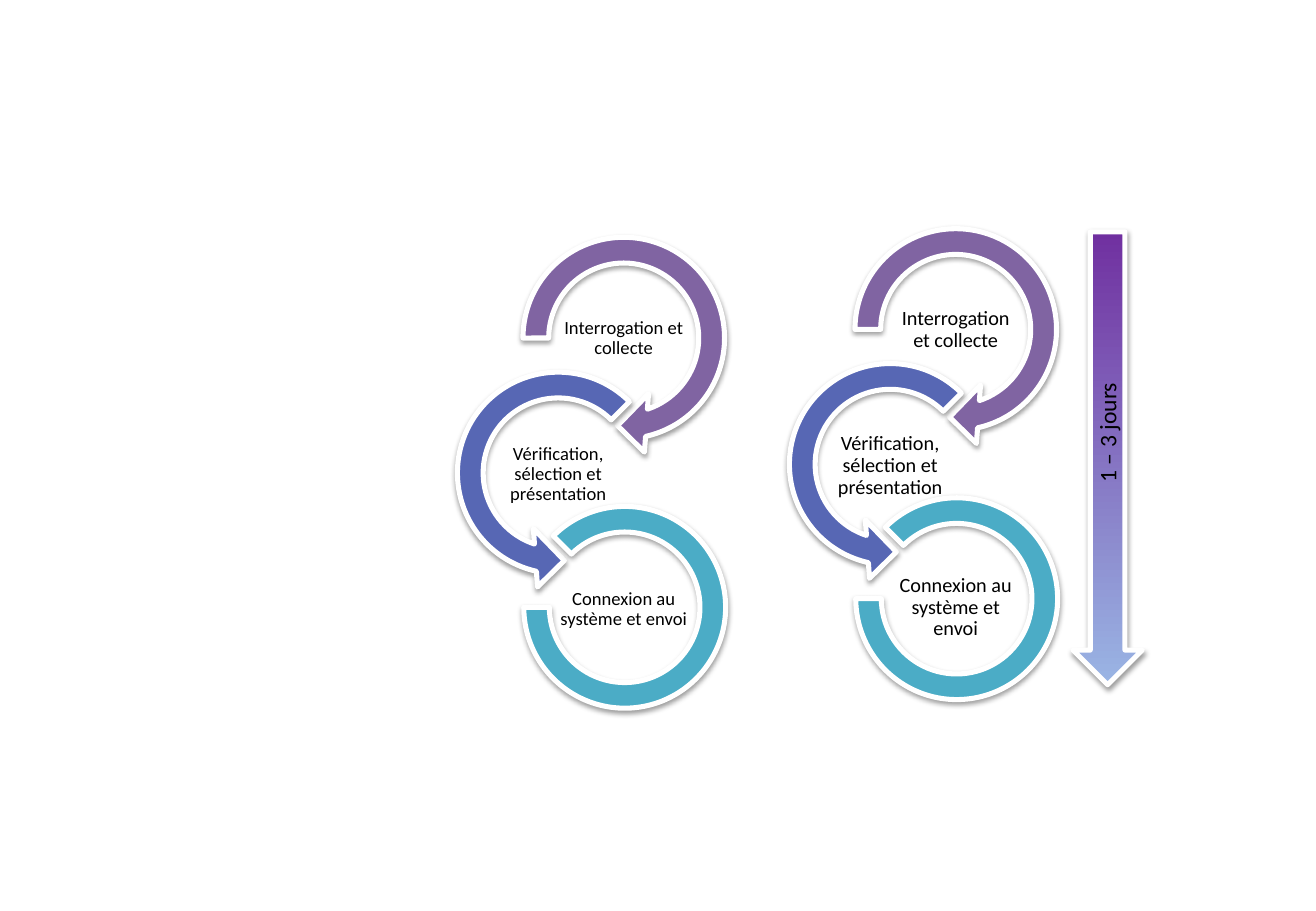
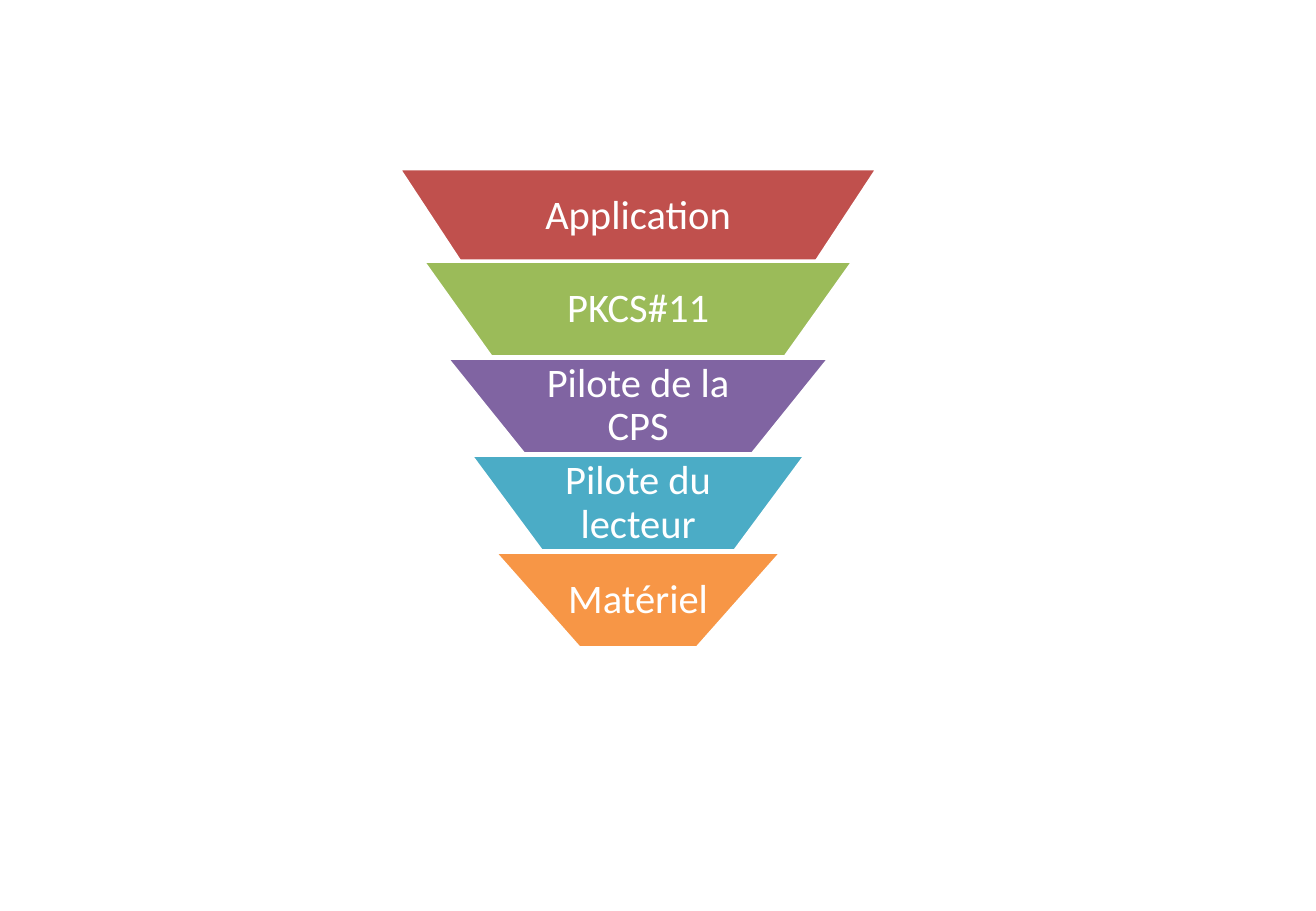
from lxml.etree import SubElement as Sub
from pptx import Presentation
from pptx.dml.color import RGBColor as Rgb
from pptx.enum.shapes import MSO_SHAPE as Kind
from pptx.enum.text import MSO_ANCHOR as Anchor, PP_ALIGN as Align
from pptx.oxml.ns import qn
from pptx.util import Cm, Pt

HUES = {
    "purple": "8064A2", "indigo": "5767B4", "teal": "4BACC6",
    "red": "C0504D", "green": "9BBB59", "orange": "F79646",
    "start": "7030A0", "end": "9AB5E4", "white": "FFFFFF", "black": "000000",
}
FRAME = {"word_wrap": True, "vertical_anchor": Anchor.MIDDLE}
PARA = {"alignment": Align.CENTER, "line_spacing": 0.9}

# Steps: kind, adjustments, colour, (x, y, size) and label (x, y) from the cycle's corner
STEPS = [
    ("Interrogation et collecte", Kind.CIRCULAR_ARROW,
     (0.11, 11.42, 45, 108, 0.125), "purple", (0, 0, 4.9), (1.09, 1.78)),
    ("Vérification, sélection et présentation", Kind.LEFT_CIRCULAR_ARROW,
     (0.11, 11.42, 63, 189, 0.125), "indigo", (-1.37, 2.82, 4.9), (-0.28, 4.62)),
    ("Connexion au système et envoi", Kind.BLOCK_ARC,
     (135, 108, 0.127), "teal", (0.36, 5.97, 4.22), (1.09, 7.44)),
]
LABEL = (2.72, 1.37)

# Layers: text, colour, top, bottom width, side margin
LAYERS = [
    ("Application", "red", 3.53, 7.37, 2.1),
    ("PKCS#11", "green", 5.46, 6.15, 1.75),
    ("Pilote de la CPS", "purple", 7.49, 4.78, 1.42),
    ("Pilote du lecteur", "teal", 9.52, 4.04, 1.35),
    ("Matériel", "orange", 11.55, 2.46, 1),
]
MID, WIDE, HIGH = 13.34, 10, 2


def hue(name):
    return Rgb.from_string(HUES[name])


def put(item, values):
    for key, value in values.items():
        setattr(item, key, value)


def write(shape, text, size, color, side=0.03, edge=0.03):
    frame = shape.text_frame
    put(frame, FRAME | {
        "margin_left": Cm(side), "margin_right": Cm(side),
        "margin_top": Cm(edge), "margin_bottom": Cm(edge)})
    para = frame.paragraphs[0]
    para.text = text
    put(para, PARA)
    put(para.font, {"name": "Calibri", "size": Pt(size)})
    para.font.color.rgb = hue(color)


def paint(shape, color, width):
    shape.shadow.inherit = False
    shape.fill.solid()
    shape.fill.fore_color.rgb = hue(color)
    shape.line.color.rgb = hue("white")
    shape.line.width = Pt(width)


def shade(shape):
    effects = shape._element.spPr.find(qn("a:effectLst"))
    outer = Sub(effects, qn("a:outerShdw"), blurRad=str(Pt(3.1)),
                dist=str(Pt(1.6)), dir="5400000", rotWithShape="0")
    black = Sub(outer, qn("a:srgbClr"), val=HUES["black"])
    Sub(black, qn("a:alpha"), val="38000")


def arrow(shapes, kind, box, color, adjust=()):
    shape = shapes.add_shape(kind, *map(Cm, box))
    for i, value in enumerate(adjust):
        shape.adjustments[i] = value
    paint(shape, color, 3)
    shade(shape)
    return shape


def label(shapes, text, x, y, size, high=LABEL[1]):
    box = shapes.add_textbox(Cm(x), Cm(y), Cm(LABEL[0]), Cm(high))
    write(box, text, size, "black")
    return box


def cycle(slide, left, top, size, last):
    """Draw the three linked steps; last is the height of the last label."""
    shapes = slide.shapes.add_group_shape().shapes
    for text, kind, adjust, color, (x, y, side), (tx, ty) in STEPS:
        arrow(shapes, kind, (left + x, top + y, side, side), color, adjust)
        high = last if text == STEPS[-1][0] else LABEL[1]
        label(shapes, text, left + tx, top + ty, size, high)
    return shapes


def span(shapes):
    """Draw the time arrow with its upright label."""
    shape = arrow(shapes, Kind.DOWN_ARROW, (22.43, 4.85, 1.45, 9.47), "start")
    shape.fill.gradient()
    shape.fill.gradient_angle = 270
    for stop, (at, name) in zip(shape.fill.gradient_stops,
                                ((0, "start"), (1, "end"))):
        stop.position = at
        stop.color.rgb = hue(name)
    label(shapes, "1 – 3 jours", 21.82, 8.36, 14).rotation = 270


def layer(slide, i, text, color, top, base, side):
    half, low = (WIDE - i) / 2, base / 2
    dots = [(MID + half, top), (MID + low, top + HIGH),
            (MID - low, top + HIGH), (MID - half, top)]
    dots = [(Cm(x), Cm(y)) for x, y in dots]
    form = slide.shapes.build_freeform(*dots[0])
    form.add_line_segments(dots[1:], close=True)
    shape = form.convert_to_shape()
    paint(shape, color, 2)
    write(shape, text, 24, "white", side, 0.08)


def main():
    deck = Presentation()
    put(deck, {"slide_width": Cm(27.51), "slide_height": Cm(19.05)})
    blank = deck.slide_layouts[6]

    # Process cycles, the second one timed
    slide = deck.slides.add_slide(blank)
    cycle(slide, 10.59, 4.62, 11, LABEL[1])
    span(cycle(slide, 17.53, 4.44, 12, 1.65))

    # Funnel of layers
    slide = deck.slides.add_slide(blank)
    for i, row in enumerate(LAYERS):
        layer(slide, i, *row)

    deck.save("out.pptx")


if __name__ == "__main__":
    main()
